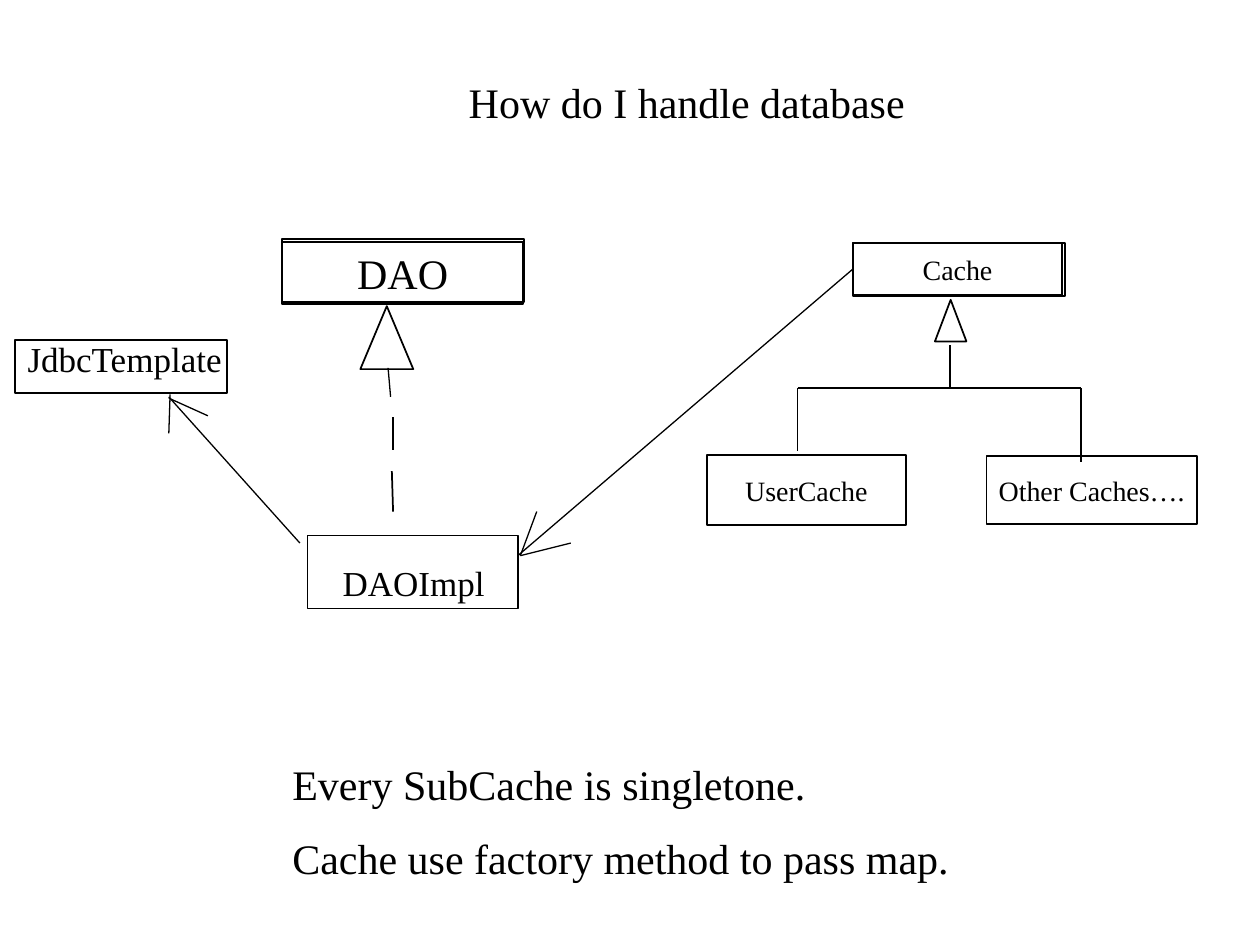
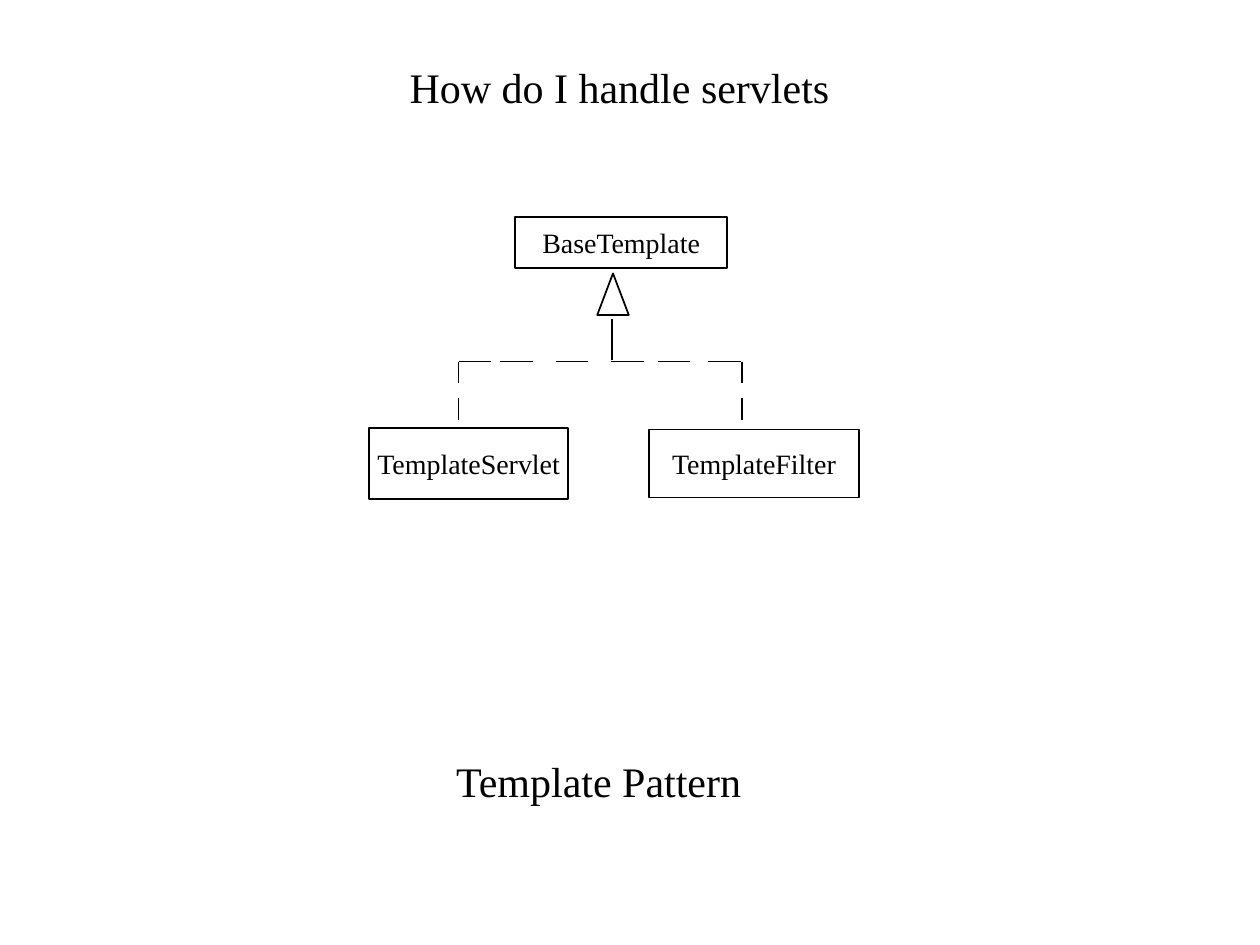
from dataclasses import dataclass

from lxml import etree
from pptx import Presentation
from pptx.dml.color import RGBColor
from pptx.enum.shapes import MSO_CONNECTOR, MSO_SHAPE
from pptx.enum.text import MSO_ANCHOR, PP_ALIGN
from pptx.oxml.ns import qn
from pptx.util import Inches, Pt

RECTANGLE, TRIANGLE = MSO_SHAPE.RECTANGLE, MSO_SHAPE.ISOSCELES_TRIANGLE
STRAIGHT = MSO_CONNECTOR.STRAIGHT
LEFT, CENTER = PP_ALIGN.LEFT, PP_ALIGN.CENTER
TOP, MIDDLE = MSO_ANCHOR.TOP, MSO_ANCHOR.MIDDLE
LEFT_SIDE = 1


@dataclass(frozen=True)
class Theme:
    ink: RGBColor = RGBColor(0, 0, 0)
    font: str = "Times New Roman"
    heading: int = 24
    label: int = 20
    class_name: int = 16
    outline: float = 1
    thin: float = 0.75


THEME = Theme()


def add_text(slide, text, at, size=THEME.heading, outline=None, indent=0.1):
    """Add a plain text box, or a centred label in an outlined preset shape."""
    box = [Inches(length) for length in at]
    if outline is None:
        item = slide.shapes.add_textbox(*box)
    else:
        item = slide.shapes.add_shape(outline, *box)
        item.shadow.inherit = False
        item.fill.background()
        item.line.color.rgb = THEME.ink
        item.line.width = Pt(THEME.outline)
    if text:
        frame = item.text_frame
        frame.word_wrap = outline is None
        frame.vertical_anchor = TOP if outline is None else MIDDLE
        frame.margin_left = Inches(indent)
        paragraph = frame.paragraphs[0]
        paragraph.alignment = LEFT if outline is None else CENTER
        run = paragraph.add_run()
        run.text = text
        run.font.name = THEME.font
        run.font.size = Pt(size)
        run.font.color.rgb = THEME.ink
    return item


def add_line(slide, start, end, width=THEME.outline):
    ends = [Inches(length) for length in (*start, *end)]
    line = slide.shapes.add_connector(STRAIGHT, *ends)
    line.line.color.rgb = THEME.ink
    line.line.width = Pt(width)
    etree.SubElement(line._element.spPr, qn("a:effectLst"))
    return line


prs = Presentation()
prs.slide_width, prs.slide_height = Inches(10), Inches(7.5)
blank = prs.slide_layouts[6]
database = prs.slides.add_slide(blank)
servlets = prs.slides.add_slide(blank)

# Headings and remarks
for slide, text, left, top, indent in (
    (database, "How do I handle database", 1.62, 0.56, 2.1),
    (database, "Every SubCache is singletone.", 1.22, 5.97, 1.1),
    (database, "Cache use factory method to pass map.", 1.22, 6.56, 1.1),
    (servlets, "How do I handle servlets", 1.74, 0.44, 1.51),
    (servlets, "Template Pattern", 1.52, 5.95, 2.1),
):
    add_text(slide, text, (left, top, 6.81, 0.5), indent=indent)

# Inheritance trees: the same layout, placed from the parent's corner
parents = []
for slide, x, y, parent_width, names in (
    (database, 6.77, 1.93, 1.66, ("Cache", "UserCache", "Other Caches….")),
    (servlets, 4.09, 1.72, 1.68, ("BaseTemplate", "TemplateServlet", "TemplateFilter")),
):
    places = (
        (x, y, parent_width, 0.41),
        (x - 1.16, y + 1.68, 1.58, 0.56),
        (x + 1.06, y + 1.69, 1.67, 0.54),
    )
    boxes = [
        add_text(slide, name, at, size=THEME.class_name, outline=RECTANGLE)
        for name, at in zip(names, places)
    ]
    parents.append(boxes[0])
    add_text(slide, "", (x + 0.65, y + 0.45, 0.25, 0.33), outline=TRIANGLE)
    add_line(slide, (x + 0.77, y + 0.81), (x + 0.77, y + 1.14))

# Solid branches below Cache
add_text(database, "", (6.77, 1.93, 1.68, 0.42), outline=RECTANGLE)
add_line(database, (6.33, 3.08), (8.58, 3.08))
for x, bottom in ((6.33, 3.58), (8.58, 3.67)):
    add_line(database, (x, 3.08), (x, bottom), THEME.thin)

# Dashed branches below BaseTemplate
for x in (3.64, 3.97, 4.41, 4.85, 5.22, 5.62):
    add_line(servlets, (x, 2.87), (x + 0.26, 2.87))
for x in (3.64, 5.89):
    for y in (2.87, 3.16):
        add_line(servlets, (x, y), (x, y + 0.17), THEME.thin)

# DAO, its implementation and the JDBC template
add_text(database, "DAO", (2.24, 1.92, 1.91, 0.49), outline=RECTANGLE)
for at in ((2.24, 1.9, 1.92, 0.5), (2.44, 4.25, 1.67, 0.58), (0.12, 2.7, 1.68, 0.42)):
    add_text(database, "", at, outline=RECTANGLE)
add_text(database, "JdbcTemplate", (0.12, 2.63, 1.92, 0.43), size=THEME.label)
add_text(database, "DAOImpl", (2.62, 4.41, 1.72, 0.44), size=THEME.label)

# Dashed realization arrow from DAOImpl up to DAO
add_text(database, "", (2.86, 2.43, 0.42, 0.5), outline=TRIANGLE)
add_line(database, (3.1, 3.15), (3.08, 2.92), THEME.thin)
add_line(database, (3.12, 3.31), (3.12, 3.57))
add_line(database, (3.11, 3.74), (3.12, 4.06))

# Open arrows: DAOImpl to JdbcTemplate, then Cache to DAOImpl
for start, end in (
    ((2.38, 4.31), (1.34, 3.15)),
    ((1.34, 3.16), (1.65, 3.3)),
    ((1.35, 3.13), (1.34, 3.44)),
    ((4.13, 4.41), (4.53, 4.31)),
    ((4.13, 4.41), (4.26, 4.06)),
):
    add_line(database, start, end, THEME.thin)
cache_to_dao = add_line(database, (6.77, 2.14), (4.11, 4.41), THEME.thin)
cache_to_dao.begin_connect(parents[0], LEFT_SIDE)

prs.save("out.pptx")
